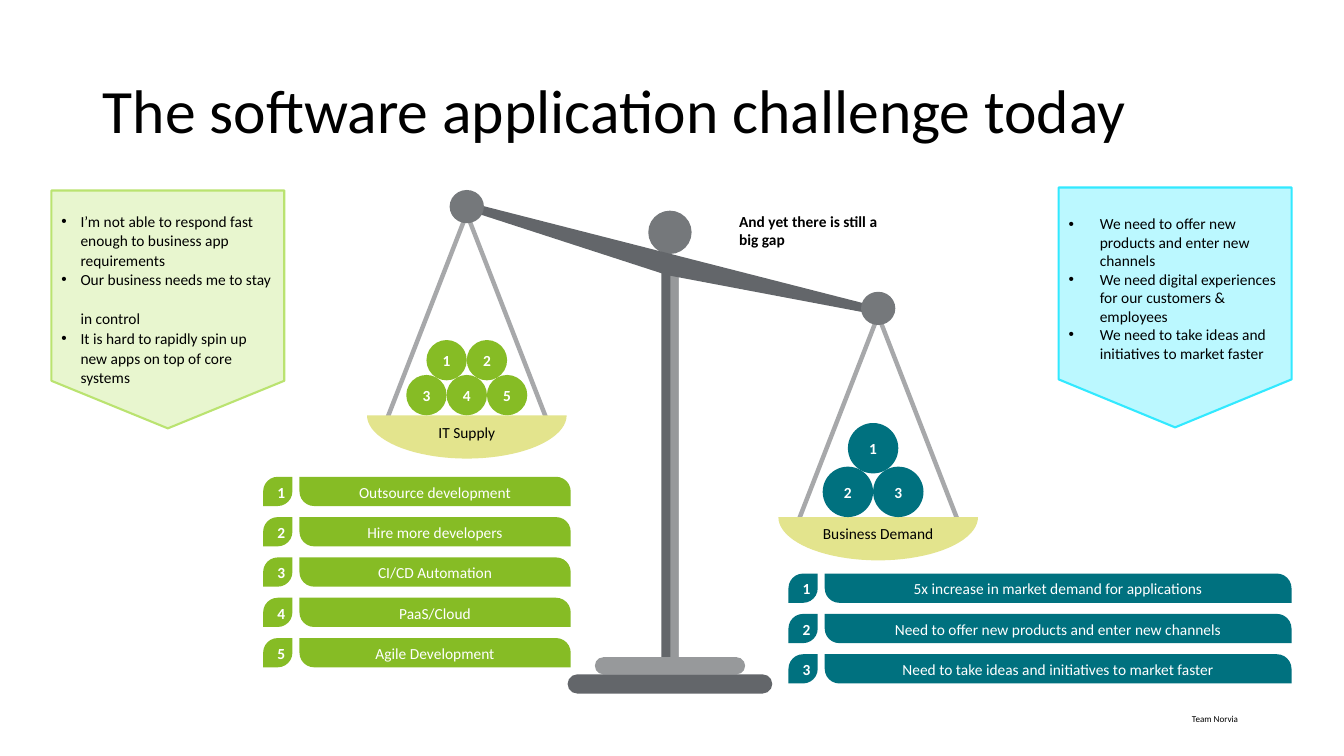
from dataclasses import dataclass
from math import cos, pi, sin, sqrt

from lxml.etree import SubElement
from pptx import Presentation
from pptx.dml.color import RGBColor
from pptx.enum.shapes import MSO_SHAPE
from pptx.enum.text import MSO_ANCHOR, PP_ALIGN
from pptx.oxml.ns import qn
from pptx.util import Inches, Pt

TITLE = "The software application challenge today"
GAP_NOTE = "And yet there is still a big gap"
FOOTER = "Team Norvia"


@dataclass(frozen=True)
class Theme:
    font: str = "Calibri"
    title_size: float = 44
    body_size: float = 11
    footer_size: float = 6.5
    black: str = "000000"
    white: str = "FFFFFF"
    dark_grey: str = "63666A"
    hub_grey: str = "75787B"
    light_grey: str = "97999B"
    rope_grey: str = "A7A8AA"
    pan: str = "E3E48D"
    green: str = "86BC25"
    teal: str = "00717F"


THEME = Theme()

# hub: end of the beam; pile: ball centre line, diameter, balls per row from the top
# bars: left of the numbers, top, width of the labels
SIDES = [
    {
        "name": "IT Supply", "color": THEME.green, "hub": (4.63, 2.05),
        "pile": (4.63, 0.4, [2, 3]), "bars": (2.61, 4.73, 2.69),
        "labels": ["Outsource development", "Hire more developers", "CI/CD Automation",
                   "PaaS/Cloud", "Agile Development"],
    },
    {
        "name": "Business Demand", "color": THEME.teal, "hub": (8.71, 3.06),
        "pile": (8.66, 0.5, [1, 2]), "bars": (7.82, 5.69, 4.63),
        "labels": ["5x increase in market demand for applications",
                   "Need to offer new products and enter new channels",
                   "Need to take ideas and initiatives to market faster"],
    },
]

CALLOUTS = [
    {
        "frame": (0.51, 1.89, 2.31, 2.36), "fill": "E8F6CF", "line": "BAE370",
        "anchor": MSO_ANCHOR.TOP, "indent": 0.19, "spacing": 1.06,
        "points": ["I’m not able to respond fast enough to business app requirements",
                   "Our business needs me to stay \vin control",
                   "It is hard to rapidly spin up new apps on top of core systems"],
    },
    {
        "frame": (10.5, 1.86, 2.31, 2.38), "fill": "BBF8FF", "line": "32E9FF",
        "anchor": MSO_ANCHOR.MIDDLE, "indent": 0.31, "spacing": 1.0,
        "points": ["We need to offer new products and enter new channels",
                   "We need digital experiences for our customers & employees",
                   "We need to take ideas and initiatives to market faster"],
    },
]

STAND = [
    (MSO_SHAPE.RECTANGLE, (6.56, 2.63, 0.17, 3.89), THEME.dark_grey),
    (MSO_SHAPE.RECTANGLE, (6.65, 2.63, 0.08, 3.89), THEME.light_grey),
    (MSO_SHAPE.OVAL, (6.43, 2.09, 0.43, 0.43), THEME.hub_grey),
    (MSO_SHAPE.ROUNDED_RECTANGLE, (5.9, 6.52, 1.49, 0.17), THEME.light_grey),
    (MSO_SHAPE.ROUNDED_RECTANGLE, (5.63, 6.69, 2.03, 0.19), THEME.dark_grey),
]
BEAM = [(8.63, 3.11), (6.62, 2.73), (4.68, 2.1), (4.7, 2.02), (8.65, 3.03)]
# Offsets from a hub
ROPES = [(0.82, 2.12), (0.02, 0.06), (0, 0.07), (-0.02, 0.06), (-0.82, 2.12),
         (-0.78, 2.14), (0, 0.13), (0.78, 2.14)]
HUB_SIZE = (0.34, 0.33)
PAN_DROP, PAN_RADII = 2.07, (0.99, 0.43)
BAR_HEIGHT, BAR_STEP, LABEL_SHIFT = 0.29, 0.4, 0.36


def paint(shape, fill, line=None):
    shape.shadow.inherit = False
    shape.fill.solid()
    shape.fill.fore_color.rgb = RGBColor.from_string(fill)
    if line:
        shape.line.color.rgb = RGBColor.from_string(line)
        shape.line.width = Pt(1.5)
    else:
        shape.line.fill.background()
    return shape


def add_preset(page, kind, frame, fill, line=None, adjustments=()):
    shape = page.shapes.add_shape(kind, *map(Inches, frame))
    for index, value in enumerate(adjustments):
        shape.adjustments[index] = value
    return paint(shape, fill, line)


def add_outline(page, points, fill):
    corners = [(Inches(x), Inches(y)) for x, y in points]
    builder = page.shapes.build_freeform(*corners[0])
    builder.add_line_segments(corners[1:], close=True)
    return paint(builder.convert_to_shape(), fill)


def write(shape, lines, color=THEME.black, size=THEME.body_size, bold=False,
          align=PP_ALIGN.CENTER, anchor=MSO_ANCHOR.MIDDLE, spacing=1.0,
          margins=(0.1, 0.1, 0.1, 0.1), indent=None):
    """Fill a shape with paragraphs; margins run left, top, right, bottom; an indent adds bullets."""
    frame = shape.text_frame
    frame.word_wrap = True
    frame.vertical_anchor = anchor
    (frame.margin_left, frame.margin_top,
     frame.margin_right, frame.margin_bottom) = map(Inches, margins)
    frame.text = "\n".join(lines)
    for para in frame.paragraphs:
        para.alignment = align
        para.line_spacing = spacing
        if indent:
            properties = para._p.get_or_add_pPr()
            properties.set("marL", str(Inches(indent)))
            properties.set("indent", str(-Inches(indent)))
            SubElement(properties, qn("a:buFont")).set("typeface", "Arial")
            SubElement(properties, qn("a:buChar")).set("char", "•")
        para.font.name = THEME.font
        para.font.size = Pt(size)
        para.font.bold = bold
        para.font.color.rgb = RGBColor.from_string(color)


def add_text(page, frame, text, **style):
    write(page.shapes.add_textbox(*map(Inches, frame)), [text], **style)


def add_scale_arm(page, side):
    x, y = side["hub"]
    width, height = HUB_SIZE
    add_outline(page, [(x + dx, y + dy) for dx, dy in ROPES], THEME.rope_grey)
    add_preset(page, MSO_SHAPE.OVAL, (x - width / 2, y - height / 2, width, height),
               THEME.hub_grey)
    steps = 40
    arc = [(x - PAN_RADII[0] * cos(pi * step / steps),
            y + PAN_DROP + PAN_RADII[1] * sin(pi * step / steps))
           for step in range(steps + 1)]
    pan = add_outline(page, arc, THEME.pan)
    write(pan, [side["name"]], margins=(0, 0, 0, 0.1))


def add_pile(page, side):
    center, size, rows = side["pile"]
    floor = side["hub"][1] + PAN_DROP
    number = 1
    for row, count in enumerate(rows):
        top = floor - size - (len(rows) - 1 - row) * size * sqrt(3) / 2
        for column in range(count):
            left = center + (column - count / 2) * size
            ball = add_preset(page, MSO_SHAPE.OVAL, (left, top, size, size), side["color"])
            write(ball, [str(number)], THEME.white, bold=True, spacing=1.06)
            number += 1


def add_bars(page, side):
    left, first_top, width = side["bars"]
    for index, label in enumerate(side["labels"]):
        top = first_top + index * BAR_STEP
        parts = [(left, BAR_HEIGHT, (0.5, 0), str(index + 1), True),
                 (left + LABEL_SHIFT, width, (0, 0.5), label, False)]
        for part_left, part_width, corners, text, bold in parts:
            bar = add_preset(page, MSO_SHAPE.ROUND_2_DIAG_RECTANGLE,
                             (part_left, top, part_width, BAR_HEIGHT),
                             side["color"], adjustments=corners)
            write(bar, [text], THEME.white, bold=bold, spacing=1.06)


def main():
    deck = Presentation()
    deck.slide_width, deck.slide_height = Inches(13.33), Inches(7.5)
    page = deck.slides.add_slide(deck.slide_layouts[5])

    title = page.shapes.title
    title.left, title.top, title.width, title.height = map(Inches, (0.92, 0.4, 11.5, 1.45))
    write(title, [TITLE], size=THEME.title_size, align=PP_ALIGN.LEFT, spacing=0.9,
          margins=(0.1, 0.05, 0.1, 0.05))

    for kind, frame, fill in STAND:
        rounding = (0.5,) if kind == MSO_SHAPE.ROUNDED_RECTANGLE else ()
        add_preset(page, kind, frame, fill, adjustments=rounding)
    add_outline(page, BEAM, THEME.dark_grey)
    for side in SIDES:
        add_scale_arm(page, side)
        add_pile(page, side)
        add_bars(page, side)

    for callout in CALLOUTS:
        box = add_preset(page, MSO_SHAPE.FLOWCHART_OFFPAGE_CONNECTOR, callout["frame"],
                         callout["fill"], callout["line"])
        write(box, callout["points"], align=PP_ALIGN.LEFT, anchor=callout["anchor"],
              spacing=callout["spacing"], margins=(0.1, 0.2, 0.1, 0.1),
              indent=callout["indent"])

    add_text(page, (7.33, 1.86, 1.39, 0.66), GAP_NOTE, bold=True, align=PP_ALIGN.LEFT,
             anchor=MSO_ANCHOR.BOTTOM, margins=(0, 0.05, 0, 0.05))
    add_text(page, (6.93, 7.08, 5.35, 0.11), FOOTER, size=THEME.footer_size,
             align=PP_ALIGN.RIGHT, anchor=MSO_ANCHOR.TOP, margins=(0, 0, 0, 0))
    deck.save("out.pptx")


if __name__ == "__main__":
    main()
